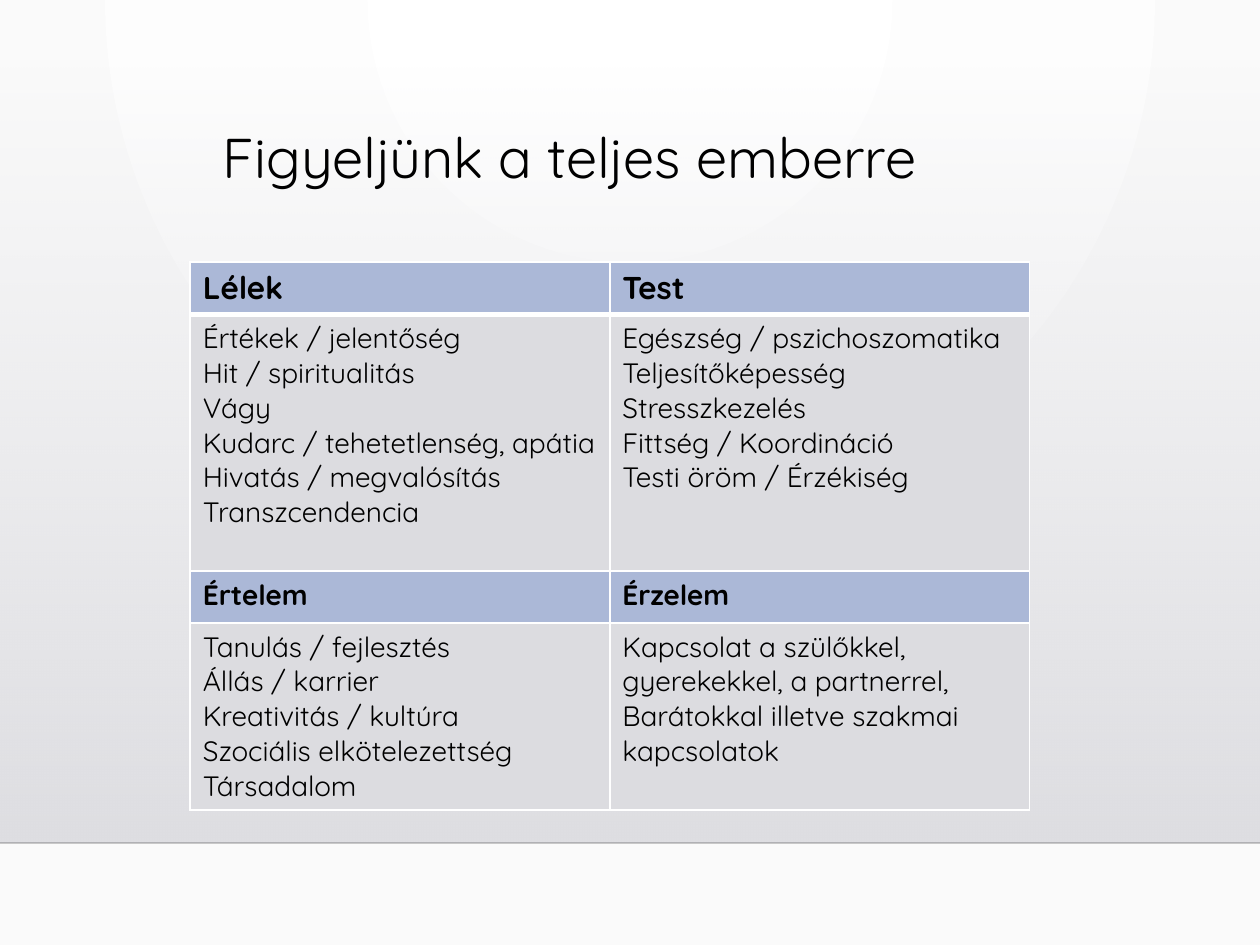
"""Build the slide on the four sides of the whole person."""
from dataclasses import dataclass

import pptx
import pptx.dml.color
import pptx.enum.shapes
import pptx.oxml
import pptx.oxml.ns
import pptx.util
from pptx.util import Inches, Pt

TITLE = "Figyeljünk a teljes emberre"
ROWS = [
    (["Lélek"], ["Test"]),
    (["Értékek / jelentőség", "Hit / spiritualitás", "Vágy",
      "Kudarc / tehetetlenség, apátia", "Hivatás / megvalósítás", "Transzcendencia"],
     ["Egészség / pszichoszomatika", "Teljesítőképesség", "Stresszkezelés",
      "Fittség / Koordináció", "Testi öröm / Érzékiség"]),
    (["Értelem"], ["Érzelem"]),
    (["Tanulás / fejlesztés", "Állás / karrier", "Kreativitás / kultúra",
      "Szociális elkötelezettség", "Társadalom"],
     ["Kapcsolat a szülőkkel, gyerekekkel, a partnerrel,",
      "Barátokkal illetve szakmai kapcsolatok"]),
]
ROW_HEIGHTS = [0.41, 2.04, 0.41, 1.48]
COL_WIDTH = 3.33
FLOOR = 6.69


@dataclass(frozen=True)
class Theme:
    font: str = "Quicksand"
    title: int = 32
    head: int = 18
    body: int = 16
    text: str = "000000"
    heading_fill: str = "ABB8D7"
    body_fill: str = "DCDCE0"
    border: str = "FFFFFF"
    glow: tuple = ("FFFFFF", "FAFAFA")
    haze: tuple = ("DEDEE2", "DCDCE0")


T = Theme()
qn = pptx.oxml.ns.qn
NS = pptx.oxml.ns.nsdecls("a")


def rgb(value):
    return pptx.dml.color.RGBColor.from_string(value)


def xml(text):
    return pptx.oxml.parse_xml(text.replace(">", f" {NS}>", 1))


def set_gradient(fill, colors):
    fill.gradient()
    for stop, color in zip(fill.gradient_stops, colors):
        stop.color.rgb = rgb(color)


def set_alpha(color, percent):
    color.append(xml(f'<a:alpha val="{percent * 1000}"></a:alpha>'))


def write(tf, lines, size, bold=False):
    tf.text = "\n".join(lines)
    for p in tf.paragraphs:
        for r in p.runs:
            r.font.name, r.font.size, r.font.bold = T.font, Pt(size), bold
            r.font.color.rgb = rgb(T.text)


def set_borders(cell, widths):
    tc_pr = cell._tc.get_or_add_tcPr()
    for i, (side, width) in enumerate(widths.items()):
        tc_pr.insert(i, xml(
            f'<a:ln{side} w="{Pt(width)}"><a:solidFill><a:srgbClr val="{T.border}"/>'
            f'</a:solidFill></a:ln{side}>'))


def add_backdrop(slide):
    set_gradient(slide.background.fill, T.glow)
    grad = slide._element.find(".//" + qn("a:gradFill"))
    grad.replace(grad.find(qn("a:lin")), xml(
        '<a:path path="circle"><a:fillToRect l="43000" t="0" r="43000" b="100000"/></a:path>'))

    haze = slide.shapes.add_shape(pptx.enum.shapes.MSO_SHAPE.RECTANGLE, 0, Inches(0.51),
                                  Inches(10), Inches(FLOOR - 0.51))
    haze.shadow.inherit = False
    haze.line.fill.background()
    set_gradient(haze.fill, T.haze)
    haze.fill.gradient_angle = 270
    for color, percent in zip(haze._element.spPr.iter(qn("a:srgbClr")), (0, 100)):
        set_alpha(color, percent)

    edge = slide.shapes.add_connector(pptx.enum.shapes.MSO_CONNECTOR.STRAIGHT,
                                      0, Inches(FLOOR), Inches(10), Inches(FLOOR))
    edge.line.width = Pt(1)
    edge.line.color.rgb = rgb(T.text)
    sp_pr = edge._element.spPr
    set_alpha(next(sp_pr.iter(qn("a:srgbClr"))), 20)
    sp_pr.append(xml("<a:effectLst></a:effectLst>"))


def add_title(slide):
    tf = slide.shapes.add_textbox(Inches(1.67), Inches(0.98),
                                  Inches(7.19), Inches(1.15)).text_frame
    tf.word_wrap = True
    write(tf, [TITLE], T.title)
    tf.paragraphs[0].line_spacing = 0.9


def add_table(slide):
    table = slide.shapes.add_table(len(ROWS), 2, Inches(1.51), Inches(2.08),
                                   Inches(2 * COL_WIDTH), Inches(sum(ROW_HEIGHTS))).table
    for col in table.columns:
        col.width = Inches(COL_WIDTH)
    for i, (texts, height) in enumerate(zip(ROWS, ROW_HEIGHTS)):
        table.rows[i].height = Inches(height)
        heading = i % 2 == 0
        for j, lines in enumerate(texts):
            cell = table.cell(i, j)
            cell.fill.solid()
            cell.fill.fore_color.rgb = rgb(T.heading_fill if heading else T.body_fill)
            set_borders(cell, {"L": 1, "R": 1, "T": 3 if i == 1 else 1, "B": 3 if i == 0 else 1})
            write(cell.text_frame, lines, T.head if i == 0 else T.body, heading)


prs = pptx.Presentation()
prs.slide_width, prs.slide_height = Inches(10), Inches(7.5)
slide = prs.slides.add_slide(prs.slide_layouts[6])
add_backdrop(slide)
add_table(slide)
add_title(slide)
prs.save("out.pptx")
